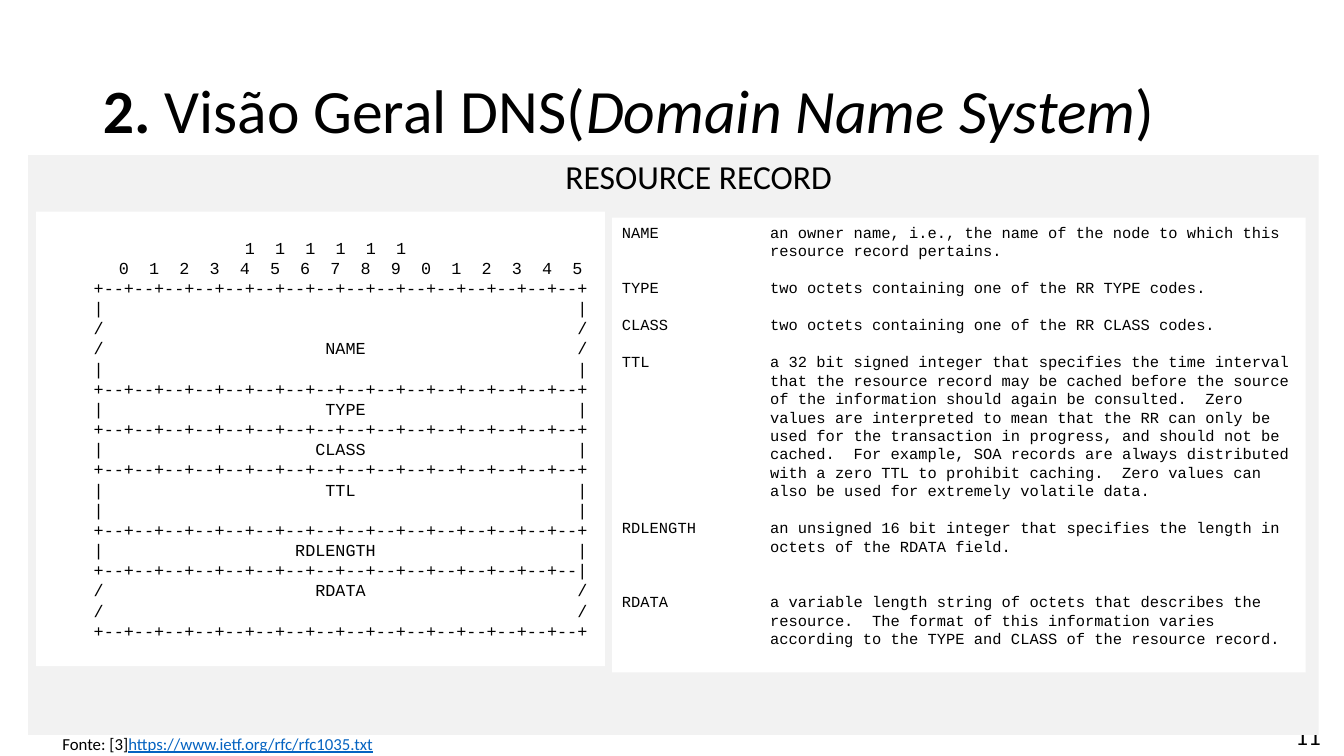
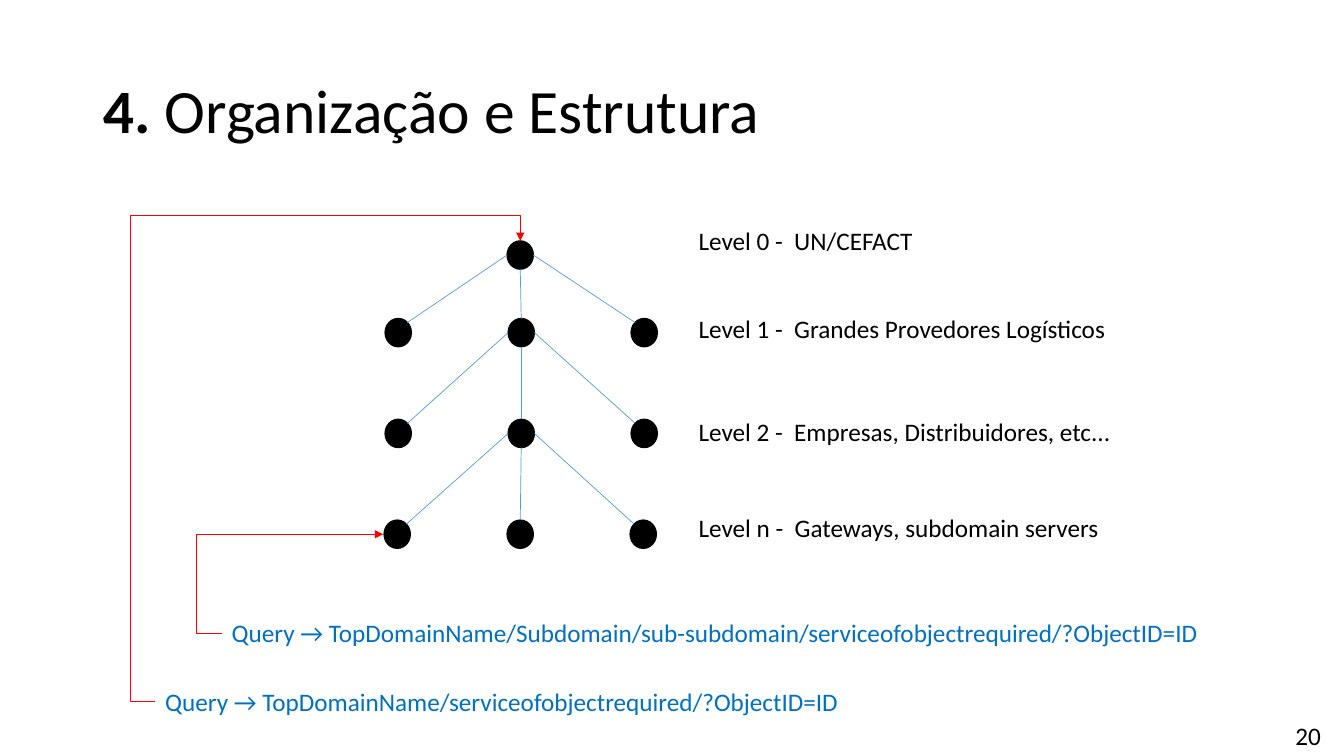
"""Build two DNS slides: the resource record and the query tree."""
from pptx import Presentation
from pptx.dml.color import RGBColor
from pptx.enum.shapes import MSO_CONNECTOR as LINK, MSO_SHAPE as FORM
from pptx.enum.text import MSO_ANCHOR as ANCHOR, MSO_AUTO_SIZE as FIT, PP_ALIGN as ALIGN
from pptx.oxml.ns import qn
from pptx.util import Inches, Pt
from lxml.etree import SubElement as Sub

WIDE, HIGH = 13.33, 7.5
INK, GREY, WHITE = "000000", "F2F2F2", "FFFFFF"
BLUE, PALE, RED, LINKED = "0070C0", "5B9BD5", "FF0000", "0563C1"
SANS, MONO = "Calibri", "Courier New"

HEADS = [
    ("11", [("2. ", {"bold": True}), ("Visão Geral DNS(", {}),
            ("Domain Name System", {"italic": True}), (")", {})]),
    ("20", [("4. ", {"bold": True}), ("Organização e Estrutura", {})]),
]
FIELDS = [
    ("|", ""), ("/", ""), ("/", "NAME"), ("|", ""), "+",
    ("|", "TYPE"), "+", ("|", "CLASS"), "+", ("|", "TTL"), ("|", ""), "+",
    ("|", "RDLENGTH "), "|", ("/", "RDATA"), ("/", ""), "+",
]
TERMS = [
    ("NAME", "an owner name, i.e., the name of the node to which this "
     "resource record pertains.", 1),
    ("TYPE", "two octets containing one of the RR TYPE codes.", 1),
    ("CLASS", "two octets containing one of the RR CLASS codes.", 1),
    ("TTL", "a 32 bit signed integer that specifies the time interval "
     "that the resource record may be cached before the source "
     "of the information should again be consulted.  Zero "
     "values are interpreted to mean that the RR can only be "
     "used for the transaction in progress, and should not be "
     "cached.  For example, SOA records are always distributed "
     "with a zero TTL to prohibit caching.  Zero values can "
     "also be used for extremely volatile data.", 1),
    ("RDLENGTH", "an unsigned 16 bit integer that specifies the length in "
     "octets of the RDATA field.", 2),
    ("RDATA", "a variable length string of octets that describes the "
     "resource.  The format of this information varies "
     "according to the TYPE and CLASS of the resource record.", 0),
]
SOURCE = [("Fonte: [3]", {}),
          ("https://www.ietf.org/rfc/rfc1035.txt", {"color": LINKED, "underline": True})]
LABELS = [
    ("Level 0 -  UN/CEFACT", 6.83, 2.19, 2.35, INK),
    ("Level 1 -  Grandes Provedores Logísticos", 6.83, 3.06, 4.28, INK),
    ("Level 2 -  Empresas, Distribuidores, etc...", 6.83, 4.08, 4.43, INK),
    ("Level n -  Gateways, subdomain servers", 6.83, 5.03, 4.22, INK),
    ("Query → TopDomainName/Subdomain/sub-subdomain/serviceofobjectrequired/?ObjectID=ID",
     2.2, 6.08, 9.82, BLUE),
    ("Query → TopDomainName/serviceofobjectrequired/?ObjectID=ID", 1.54, 6.76, 6.98, BLUE),
]
TREE = [(5.03, 2.39, [0]), (5.04, 3.16, [-1, 0, 1]),
        (5.04, 4.16, [-1, 0, 1]), (5.03, 5.16, [-1, 0, 1])]
STEP, DOT_W, DOT_H, NICK = 1.22, 0.26, 0.28, 0.04
QUERIES = [
    ((2.2, 6.28, 3.8, 5.3), "bentConnector3", [-15600]),
    ((1.54, 6.96, 5.16, 2.39), "bentConnector4", [-6900, 105500]),
]


def rgb(code):
    """Turn a hex string into a colour."""
    return RGBColor.from_string(code)


def write(para, runs, size, font=SANS, color=INK, pad=0, hang=0, **form):
    """Fill one paragraph with formatted runs."""
    for key, val in form.items():
        setattr(para, key, val)
    if pad:
        prop = para._p.get_or_add_pPr()
        prop.set("marL", str(Inches(pad)))
        prop.set("indent", str(-Inches(hang)))
    for text, style in runs:
        run = para.add_run()
        run.text = text
        look = {"size": Pt(size), "name": font, "bold": False, "italic": False, **style}
        run.font.color.rgb = rgb(look.pop("color", color))
        for key, val in look.items():
            setattr(run.font, key, val)


def fill(frame, paras, wrap=True, anchor=ANCHOR.TOP):
    """Write a list of paragraph settings into a text frame."""
    frame.word_wrap, frame.vertical_anchor = wrap, anchor
    for num, spec in enumerate(paras):
        write(frame.add_paragraph() if num else frame.paragraphs[0], **spec)


def label(slide, box, runs, size=18, wrap=True, **form):
    """Add a one-line text box."""
    area = slide.shapes.add_textbox(*map(Inches, box))
    fill(area.text_frame, [dict(runs=runs, size=size, **form)], wrap)


def block(slide, kind, box, color, edge=None):
    """Add a flat preset shape."""
    item = slide.shapes.add_shape(kind, *map(Inches, box))
    item.shadow.inherit = False
    item.fill.solid()
    item.fill.fore_color.rgb = rgb(color)
    if edge:
        item.line.color.rgb, item.line.width = rgb(color), Pt(edge)
    else:
        item.line.fill.background()
    return item


def join(slide, ends, color, kind=LINK.STRAIGHT, bend=None, adj=(), tip=False):
    """Add a thin connector, bent and tipped on request."""
    wire = slide.shapes.add_connector(kind, *map(Inches, ends))
    wire.line.color.rgb, wire.line.width = rgb(color), Pt(0.5)
    prop = wire._element.spPr
    if bend:
        turn = prop.find(qn("a:xfrm"))
        turn.attrib.pop("flipV", None)
        turn.set("rot", "10800000")
        turn.set("flipH", "1")
        geom = prop.find(qn("a:prstGeom"))
        geom.set("prst", bend)
        for old in list(geom):
            geom.remove(old)
        guides = Sub(geom, qn("a:avLst"))
        for num, val in enumerate(adj, 1):
            Sub(guides, qn("a:gd"), name=f"adj{num}", fmla=f"val {val}")
    if tip:
        Sub(prop.find(qn("a:ln")), qn("a:tailEnd"), type="triangle")
    Sub(prop, qn("a:effectLst"))


def start(deck, page, runs):
    """Add a slide with its title and number."""
    slide = deck.slides.add_slide(deck.slide_layouts[5])
    title = slide.shapes.title
    spots = dict(left=0.92, top=0.4, width=11.5, height=1.45)
    for key, val in spots.items():
        setattr(title, key, Inches(val))
    title.text_frame.auto_size = FIT.NONE
    fill(title.text_frame, [dict(runs=runs, size=44, alignment=ALIGN.LEFT,
                                 line_spacing=0.9)], anchor=ANCHOR.MIDDLE)
    label(slide, (12.75, 7.1, 0.7, 0.4), [(page, {})])
    return slide


def record(slide):
    """Draw the record layout and its terms."""
    panel = block(slide, FORM.RECTANGLE, (0.28, 1.54, 12.8, 5.75), GREY)
    fill(panel.text_frame, [dict(runs=[("RESOURCE RECORD", {})], size=24, pad=0.5,
                                 alignment=ALIGN.CENTER, line_spacing=0.9,
                                 space_before=Pt(5))])
    label(slide, (0.52, 7.23, 11.76, 0.3), SOURCE, 12)

    rule, gap = "+--" * 16, " " * 2
    rows = [(gap.join("1" * 6), 0.1),
            (gap.join(str(bit % 10) for bit in range(16)), 0.6), (rule + "+", 0.4)]
    for field in FIELDS:
        if isinstance(field, str):
            rows.append((rule + field, 0.4))
        else:
            side, name = field
            rows.append((side + name.center(47) + side, 0.4))
    chart = block(slide, FORM.RECTANGLE, (0.36, 2.1, 5.64, 4.51), WHITE)
    fill(chart.text_frame, [dict(runs=[(row, {})], size=12, font=MONO, pad=pad,
                                 alignment=ALIGN.CENTER) for row, pad in rows],
         anchor=ANCHOR.MIDDLE)

    terms = block(slide, FORM.RECTANGLE, (6.07, 2.16, 6.88, 4.51), WHITE)
    fill(terms.text_frame, [dict(runs=[(f"{name}\t{text}", {})], size=11, font=MONO,
                                 pad=1.47, hang=1.47, alignment=ALIGN.LEFT,
                                 space_after=Pt(13.2 * lines))
                            for name, text, lines in TERMS])


def tree(slide):
    """Draw the levels, their links and the queries."""
    above = None
    for left, top, cols in TREE:
        for col in cols:
            x = left + col * STEP
            block(slide, FORM.OVAL, (x, top, DOT_W, DOT_H), INK, 1)
            if above:
                px, py = above
                half = DOT_W / 2 * (1 + col)
                drop = DOT_H / 2 if col else DOT_H
                reach = DOT_W / 2 - col * (DOT_W / 2 - NICK)
                join(slide, (px + half, py + drop, x + reach,
                             top + (NICK if col else 0)), PALE)
        above = left, top
    for text, x, y, width, color in LABELS:
        label(slide, (x, y, width, 0.4), [(text, {})], wrap=False, color=color)
    for ends, bend, adj in QUERIES:
        join(slide, ends, RED, LINK.ELBOW, bend, adj, True)


def main():
    """Build and save the deck."""
    deck = Presentation()
    deck.slide_width, deck.slide_height = Inches(WIDE), Inches(HIGH)
    for (page, runs), draw in zip(HEADS, (record, tree)):
        draw(start(deck, page, runs))
    deck.save("out.pptx")


main()
